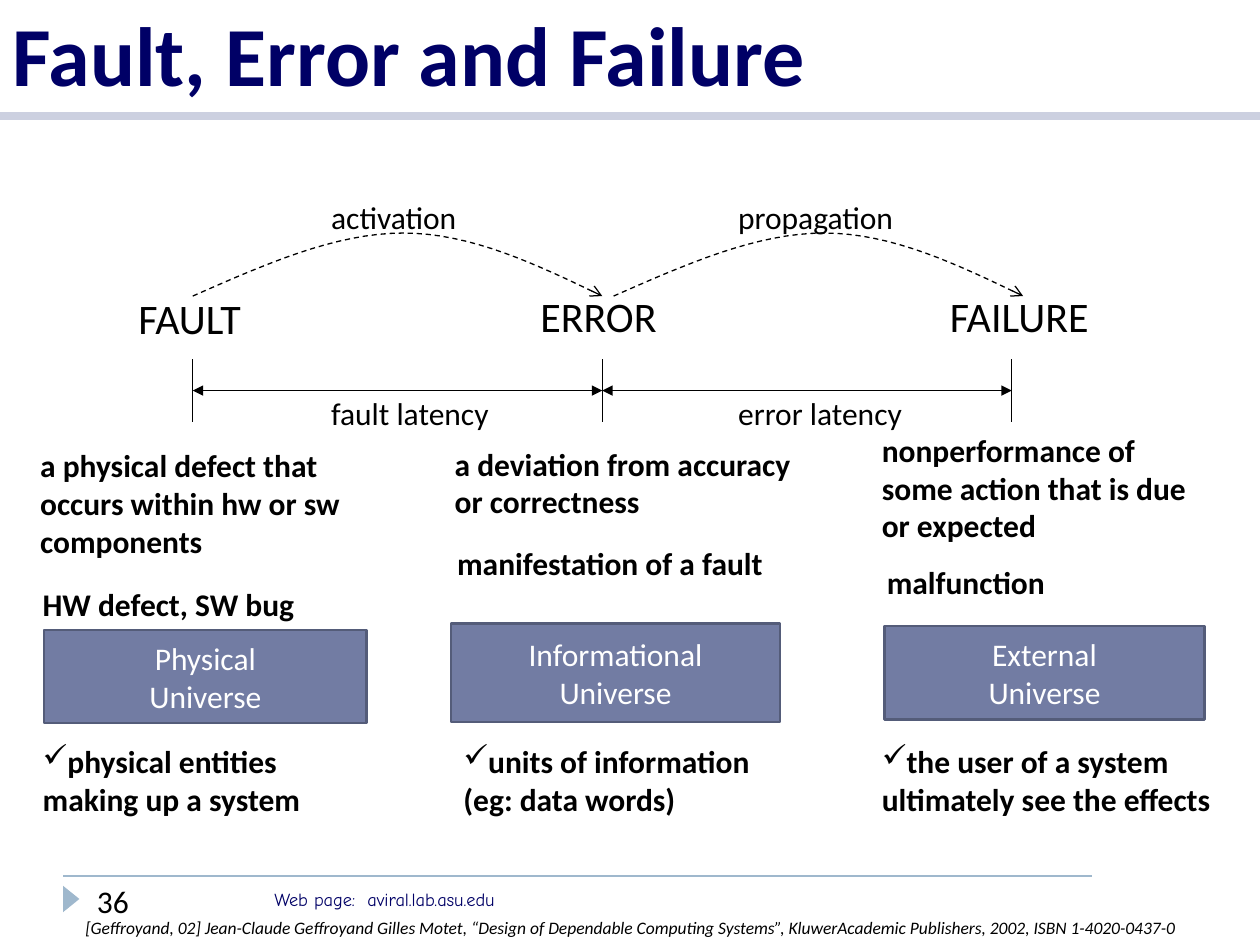
from pptx import Presentation
from pptx.dml.color import RGBColor
from pptx.enum.dml import MSO_LINE
from pptx.enum.shapes import MSO_CONNECTOR, MSO_SHAPE
from pptx.enum.text import MSO_ANCHOR, MSO_AUTO_SIZE, PP_ALIGN
from pptx.oxml.ns import qn
from pptx.util import Inches, Pt
from lxml.etree import SubElement

BODY = {"name": "Calibri", "size": Pt(18), "bold": False, "italic": False}
STRONG = BODY | {"bold": True}
STAGE = BODY | {"size": Pt(24)}
TITLE = STRONG | {"size": Pt(48)}
CITATION = BODY | {"size": Pt(10), "italic": True}
WEB = BODY | {"name": "Comic Neue", "size": Pt(10.5)}

TIMES = [1.53, 4.78, 8.03]

STAGES = [
    ("FAULT", (1, 2.27, 1.13, 0.5)),
    ("ERROR", (4.19, 2.26, 1.24, 0.5)),
    ("FAILURE", (7.44, 2.26, 1.43, 0.5)),
]
DEFINITIONS = [
    (["a physical defect that", "occurs within hw or sw", "components"], (0.22, 3.49, 2.89, 1.01)),
    (["HW defect, SW bug"], (0.24, 4.59, 2.67, 0.4)),
    (["a deviation from accuracy or correctness"], (3.51, 3.48, 3.09, 0.71)),
    (["manifestation of a fault"], (3.53, 4.27, 2.67, 0.71)),
    (["nonperformance of", "some action that is due or expected"], (6.9, 3.37, 2.89, 1.01)),
    (["malfunction"], (6.94, 4.42, 2.67, 0.4)),
]
UNIVERSES = [
    ("Physical", (0.35, 5, 2.56, 0.74)),
    ("Informational", (3.58, 4.95, 2.61, 0.78)),
    ("External", (7.02, 4.97, 2.54, 0.74)),
]
ENTITIES = [
    (["physical entities", "making up a system"], 0.24),
    (["units of information", "(eg: data words)"], 3.58),
    (["the user of a system", "ultimately see the effects"], 6.9),
]
TRANSITIONS = [
    ("activation", 1.26, "fault latency", 1.53, 2.53, 1.53),
    ("propagation", 1.52, "error latency", 1.59, 5.76, 4.87),
]


def color(value):
    return RGBColor.from_string(value)


def inches(values):
    return [Inches(value) for value in values]


def cubic(points, t):
    weights = ((1 - t) ** 3, 3 * t * (1 - t) ** 2, 3 * t * t * (1 - t), t ** 3)
    return tuple(Inches(sum(w * p[axis] for w, p in zip(weights, points))) for axis in (0, 1))


class SlideBuilder:
    ink = "000000"
    navy = "000066"
    box_fill = "727CA3"
    box_line = "545C79"
    accent = "9FB8CD"
    band = "CCD0E0"

    def __init__(self, slide):
        self.slide = slide

    def fill_text(self, frame, lines, style, ink, align=PP_ALIGN.LEFT, bullet=None):
        for index, line in enumerate(lines):
            paragraph = frame.paragraphs[0] if index == 0 else frame.add_paragraph()
            paragraph.alignment = align
            if bullet and index == 0:
                properties = paragraph._p.get_or_add_pPr()
                properties.set("marL", "0")
                properties.set("indent", "0")
                SubElement(properties, qn("a:buChar")).set("char", bullet)
            run = paragraph.add_run()
            run.text = line
            for name, value in style.items():
                setattr(run.font, name, value)
            run.font.color.rgb = color(ink)

    def title(self, text, place):
        shape = self.slide.shapes.title
        shape.left, shape.top, shape.width, shape.height = inches(place)
        frame = shape.text_frame
        frame.auto_size = MSO_AUTO_SIZE.NONE
        frame.vertical_anchor = MSO_ANCHOR.BOTTOM
        self.fill_text(frame, [text], TITLE, self.navy)

    def text(self, lines, place, style=BODY, wrap=True, ink=ink, **options):
        frame = self.slide.shapes.add_textbox(*inches(place)).text_frame
        frame.word_wrap = wrap
        self.fill_text(frame, lines, style, ink, **options)

    def solid(self, kind, place, fill):
        shape = self.slide.shapes.add_shape(kind, *inches(place))
        shape.shadow.inherit = False
        shape.fill.solid()
        shape.fill.fore_color.rgb = color(fill)
        return shape

    def box(self, lines, place):
        shape = self.solid(MSO_SHAPE.RECTANGLE, place, self.box_fill)
        self.outline(shape, self.box_line, 1.5)
        shape.text_frame.vertical_anchor = MSO_ANCHOR.MIDDLE
        self.fill_text(shape.text_frame, lines, BODY, "FFFFFF", PP_ALIGN.CENTER)

    def marker(self, place):
        shape = self.solid(MSO_SHAPE.ISOSCELES_TRIANGLE, place, self.accent)
        shape.rotation = 90
        shape.line.fill.background()

    def outline(self, shape, ink, width, dash=None, ends=()):
        shape.line.color.rgb = color(ink)
        shape.line.width = Pt(width)
        if dash:
            shape.line.dash_style = dash
        for tag, kind in ends:
            SubElement(shape.line._get_or_add_ln(), qn(tag)).set("type", kind)

    def line(self, start, end, ink=ink, width=0.75, ends=()):
        connector = self.slide.shapes.add_connector(
            MSO_CONNECTOR.STRAIGHT, *inches(start + end))
        self.outline(connector, ink, width, ends=ends)
        SubElement(connector._element.spPr, qn("a:effectLst"))

    def arc(self, left):
        rise = [(0, 2.35), (0.57, 2.1), (1.13, 1.85), (1.67, 1.85)]
        fall = [(1.67, 1.85), (2.21, 1.85), (2.73, 2.1), (3.25, 2.35)]
        steps = 16
        points = [cubic([(left + x, y) for x, y in half], step / steps)
                  for half in (rise, fall) for step in range(1, steps + 1)]
        builder = self.slide.shapes.build_freeform(*inches((left, 2.35)))
        builder.add_line_segments(points, close=False)
        shape = builder.convert_to_shape()
        shape.shadow.inherit = False
        shape.fill.background()
        self.outline(shape, self.ink, 0.75, MSO_LINE.DASH, [("a:tailEnd", "arrow")])


def main():
    presentation = Presentation()
    presentation.slide_width = Inches(10)
    presentation.slide_height = Inches(7.5)
    page = SlideBuilder(presentation.slides.add_slide(presentation.slide_layouts[5]))

    page.line((0.5, 6.95), (8.67, 6.95), page.accent, 1)
    page.line((0, 0.92), (10, 0.92), page.band, 5)
    page.text(["Web page:  aviral.lab.asu.edu"], (2.08, 7, 3.75, 0.28), WEB, ink=page.navy)
    page.marker((0.46, 7.07, 0.21, 0.13))
    page.title("Fault, Error and Failure", (0, 0, 9.92, 0.87))
    page.text(["36"], (0.67, 6.95, 1.41, 0.4))

    for label, place in STAGES:
        page.text([label], place, STAGE, wrap=False)
    for lines, place in DEFINITIONS:
        page.text(lines, place, STRONG)
    for label, place in UNIVERSES:
        page.box([label, "Universe"], place)
    for lines, left in ENTITIES:
        page.text(lines, (left, 5.84, 3.02, 0.71), STRONG, bullet="✓")

    for time in TIMES:
        page.line((time, 2.85), (time, 3.35))
    both_ends = [("a:headEnd", "triangle"), ("a:tailEnd", "triangle")]
    for start, end in zip(TIMES, TIMES[1:]):
        page.line((start, 3.1), (end, 3.1), ends=both_ends)
    for event, event_width, latency, latency_width, left, arc_left in TRANSITIONS:
        page.arc(arc_left)
        page.text([event], (left, 1.52, event_width, 0.4), wrap=False)
        page.text([latency], (left, 3.08, latency_width, 0.4), wrap=False)

    page.text(["[Geffroyand, 02] Jean-Claude Geffroyand Gilles Motet, “Design of Dependable "
               "Computing Systems”, KluwerAcademic Publishers, 2002, ISBN 1-4020-0437-0"],
              (0, 7.23, 10, 0.44), CITATION, align=PP_ALIGN.CENTER)
    presentation.save("out.pptx")


if __name__ == "__main__":
    main()
